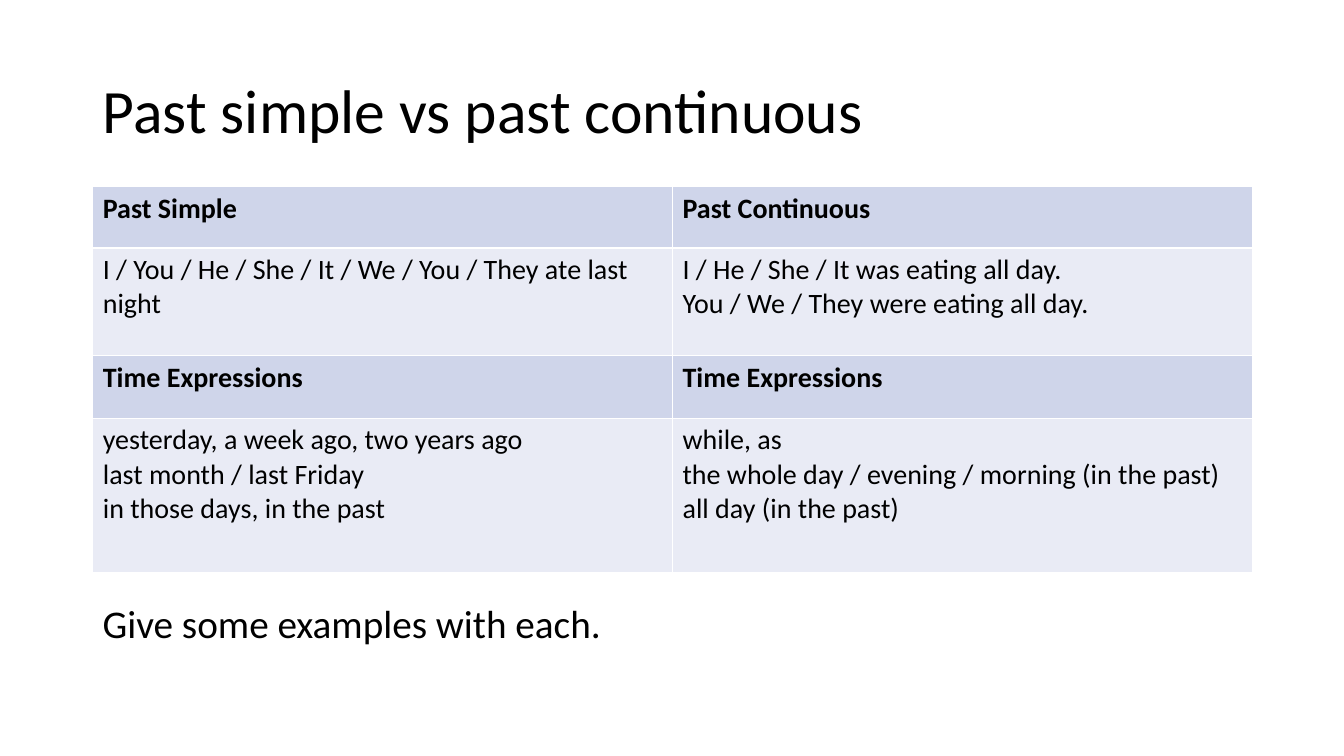
from lxml.etree import SubElement
from pptx import Presentation
from pptx.dml.color import RGBColor
from pptx.enum.text import MSO_ANCHOR, PP_ALIGN
from pptx.oxml.ns import qn
from pptx.util import Inches, Pt

TITLE = "Past simple vs past continuous"
TASK = "Give some examples with each."
# Row height in inches, then the lines of each cell; headings alternate with bodies
ROWS = [
    (0.61, [["Past Simple"], ["Past Continuous"]]),
    (1.07, [["I / You / He / She / It / We / You / They ate last night"],
            ["I / He / She / It was eating all day.",
             "You / We / They were eating all day."]]),
    (0.62, [["Time Expressions"], ["Time Expressions"]]),
    (1.53, [["yesterday, a week ago, two years ago",
             "last month / last Friday",
             "in those days, in the past"],
            ["while, as",
             "the whole day / evening / morning (in the past)",
             "all day (in the past)"]]),
]
COLORS = {"text": "000000", "heading": "CFD5EA", "body": "E9EBF5", "border": "FFFFFF"}
FONT = "Calibri"

SLIDE_WIDTH, SLIDE_HEIGHT = 13.33, 7.5
LEFT, WIDTH = 0.92, 11.5
TITLE_TOP, TITLE_HEIGHT = 0.4, 1.45
TABLE_TOP = TITLE_TOP + TITLE_HEIGHT
TABLE_HEIGHT = sum(height for height, _ in ROWS)
TASK_TOP, TASK_HEIGHT = 5.95, 0.76


def write(text_frame, lines, size, bold=False, line_spacing=1.0, space_before=0):
    text_frame.word_wrap = True
    for index, line in enumerate(lines):
        paragraph = text_frame.paragraphs[0] if index == 0 else text_frame.add_paragraph()
        paragraph.alignment = PP_ALIGN.LEFT
        paragraph.line_spacing = line_spacing
        paragraph.space_before = Pt(space_before)
        run = paragraph.add_run()
        run.text = line
        run.font.name = FONT
        run.font.size = Pt(size)
        run.font.bold = bold
        run.font.color.rgb = RGBColor.from_string(COLORS["text"])


def style_cell(cell, fill):
    """Give the cell thin borders on all sides and a plain fill."""
    properties = cell._tc.get_or_add_tcPr()
    for side in ("a:lnL", "a:lnR", "a:lnT", "a:lnB"):
        line = SubElement(properties, qn(side), w=str(Pt(1)))
        solid = SubElement(line, qn("a:solidFill"))
        SubElement(solid, qn("a:srgbClr"), val=COLORS["border"])
    cell.fill.solid()
    cell.fill.fore_color.rgb = RGBColor.from_string(COLORS[fill])


def add_comparison_table(slide):
    columns = len(ROWS[0][1])
    table = slide.shapes.add_table(
        len(ROWS), columns, Inches(LEFT), Inches(TABLE_TOP),
        Inches(WIDTH), Inches(TABLE_HEIGHT)).table
    table.first_row = table.horz_banding = False
    for column in table.columns:
        column.width = Inches(WIDTH / columns)
    for row_index, (height, contents) in enumerate(ROWS):
        table.rows[row_index].height = Inches(height)
        is_heading = row_index % 2 == 0
        for column_index, lines in enumerate(contents):
            cell = table.cell(row_index, column_index)
            style_cell(cell, "heading" if is_heading else "body")
            write(cell.text_frame, lines, size=20, bold=is_heading)


def main():
    presentation = Presentation()
    presentation.slide_width = Inches(SLIDE_WIDTH)
    presentation.slide_height = Inches(SLIDE_HEIGHT)
    slide = presentation.slides.add_slide(presentation.slide_layouts.get_by_name("Title Only"))

    title = slide.shapes.title
    title.left, title.top = Inches(LEFT), Inches(TITLE_TOP)
    title.width, title.height = Inches(WIDTH), Inches(TITLE_HEIGHT)
    title.text_frame.vertical_anchor = MSO_ANCHOR.MIDDLE
    write(title.text_frame, [TITLE], size=44, line_spacing=0.9)

    add_comparison_table(slide)

    task = slide.shapes.add_textbox(
        Inches(LEFT), Inches(TASK_TOP), Inches(WIDTH), Inches(TASK_HEIGHT))
    write(task.text_frame, [TASK], size=28, line_spacing=0.9, space_before=10)

    presentation.save("out.pptx")


if __name__ == "__main__":
    main()
